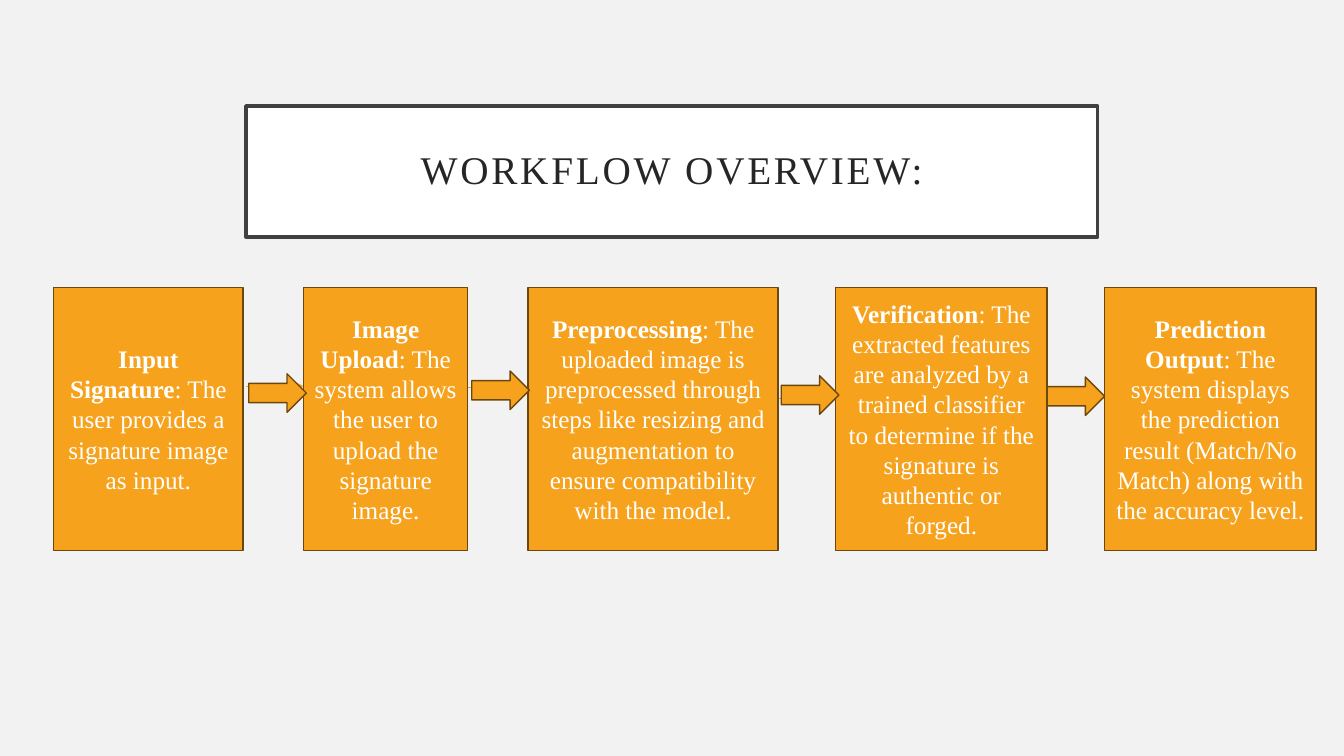
from lxml import etree
from pptx import Presentation
from pptx import util as u
from pptx.dml.color import RGBColor
from pptx.enum import shapes, text
from pptx.oxml.ns import qn

FONT = "Times New Roman"
ORANGE = "F6A21D"
BROWN = "6C470D"
LINK_LENGTH = 1.45
ARROW_HEIGHT = 0.97
STEP_TOP, STEP_HEIGHT = 7.24, 6.63

STEPS = [
    (1.35, 4.78, "Input Signature", ": The user provides a signature image as input."),
    (7.65, 4.14, "Image Upload", ": The system allows the user to upload the signature image."),
    (13.31, 6.3, "Preprocessing", ": The uploaded image is preprocessed through steps like resizing "
                                  "and augmentation to ensure compatibility with the model."),
    (21.06, 5.33, "Verification", ": The extracted features are analyzed by a trained classifier "
                                  "to determine if the signature is authentic or forged."),
    (27.84, 5.33, "Prediction Output", ": The system displays the prediction result (Match/No Match) "
                                       "along with the accuracy level."),
]
LINKS = [(6.2, 9.73), (11.79, 9.75), (19.61, 10.03), (26.39, 10.03)]
ARROWS = [(6.27, 9.42), (11.89, 9.35), (19.69, 9.47), (26.39, 9.5)]


def color(value):
    return RGBColor.from_string(value)


def paint(shape, fill, line, width):
    shape.fill.solid()
    shape.fill.fore_color.rgb = color(fill)
    shape.line.color.rgb = color(line)
    shape.line.width = u.Pt(width)


def format_run(run, size, font_color, bold=False):
    run.font.name = FONT
    run.font.size = u.Pt(size)
    run.font.bold = bold
    run.font.color.rgb = color(font_color)


def set_title(slide, wording):
    title = slide.shapes.title
    title.left, title.top = u.Cm(6.2), u.Cm(2.67)
    title.width, title.height = u.Cm(21.46), u.Cm(3.3)
    paint(title, "FFFFFF", "404040", 2.5)
    frame = title.text_frame
    frame.text = wording
    frame.word_wrap = True
    frame.auto_size = text.MSO_AUTO_SIZE.NONE
    frame.vertical_anchor = text.MSO_ANCHOR.MIDDLE
    frame.margin_left = frame.margin_right = u.Cm(0.51)
    frame.margin_top = frame.margin_bottom = u.Cm(0.51)
    paragraph = frame.paragraphs[0]
    paragraph.alignment = text.PP_ALIGN.CENTER
    paragraph.line_spacing = 0.9
    run = paragraph.runs[0]
    format_run(run, 28, "262626")
    run._r.get_or_add_rPr().set("spc", "200")


def add_block(slide, kind, left, top, width, height):
    shape = slide.shapes.add_shape(kind, u.Cm(left), u.Cm(top), u.Cm(width), u.Cm(height))
    shape.shadow.inherit = False
    paint(shape, ORANGE, BROWN, 1)
    return shape


def add_step(slide, left, width, name, description):
    shape = add_block(slide, shapes.MSO_SHAPE.RECTANGLE, left, STEP_TOP, width, STEP_HEIGHT)
    frame = shape.text_frame
    frame.word_wrap = True
    frame.vertical_anchor = text.MSO_ANCHOR.MIDDLE
    paragraph = frame.paragraphs[0]
    paragraph.alignment = text.PP_ALIGN.CENTER
    for wording, bold in ((name, True), (description, False)):
        run = paragraph.add_run()
        run.text = wording
        format_run(run, 18, "FFFFFF", bold)


def add_link(slide, left, top):
    connector = slide.shapes.add_connector(
        shapes.MSO_CONNECTOR.STRAIGHT,
        u.Cm(left), u.Cm(top), u.Cm(left + LINK_LENGTH), u.Cm(top))
    connector.line.color.rgb = color(ORANGE)
    connector.line.width = u.Pt(0.5)
    properties = connector._element.spPr
    etree.SubElement(properties.find(qn("a:ln")), qn("a:tailEnd"), type="triangle")
    etree.SubElement(properties, qn("a:effectLst"))


def main():
    presentation = Presentation()
    presentation.slide_width, presentation.slide_height = u.Cm(33.87), u.Cm(19.05)
    slide = presentation.slides.add_slide(presentation.slide_layouts[5])
    slide.background.fill.solid()
    slide.background.fill.fore_color.rgb = color("F2F2F2")

    set_title(slide, "WORKFLOW OVERVIEW:")
    for link in LINKS:
        add_link(slide, *link)
    for step in STEPS:
        add_step(slide, *step)
    for left, top in ARROWS:
        add_block(slide, shapes.MSO_SHAPE.RIGHT_ARROW, left, top, LINK_LENGTH, ARROW_HEIGHT)

    presentation.save("out.pptx")


if __name__ == "__main__":
    main()
